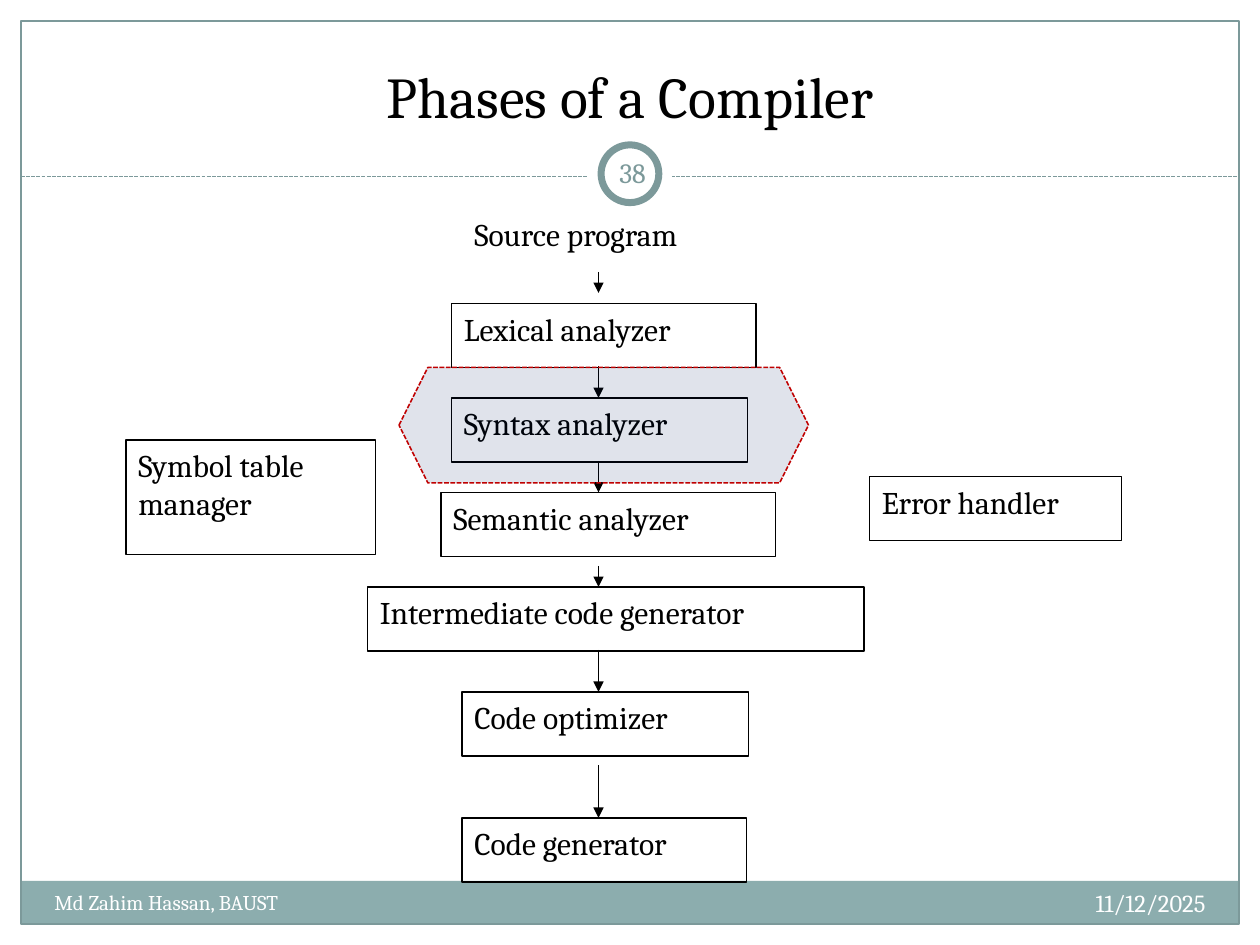
from dataclasses import dataclass

from lxml import etree
from pptx import Presentation
from pptx import util as u
from pptx.dml import color
from pptx.enum import dml, shapes, text
from pptx.oxml import ns

THEME = {
    "font": "Cambria",
    "ink": "000000", "paper": "FFFFFF", "band": "8CADAE", "frame": "7C999A",
    "focus": "002060", "focus_line": "C00000",
    "title": 33, "body": 18, "number": 16, "date": 14, "author": 12,
    "thin": 0.75, "ring": 4,
}
UNIT = u.Inches(1 / 12)  # the slide is a grid of 120 columns by 90 rows
LEFT, CENTER, RIGHT = text.PP_ALIGN.LEFT, text.PP_ALIGN.CENTER, text.PP_ALIGN.RIGHT
TOP, MIDDLE, BOTTOM = text.MSO_ANCHOR.TOP, text.MSO_ANCHOR.MIDDLE, text.MSO_ANCHOR.BOTTOM


@dataclass
class Box:
    left: float
    top: float
    width: float
    height: float

    def inner(self, left, top, width, height):
        """Give a box whose corner is counted from this one."""
        return Box(self.left + left, self.top + top, width, height)

    def emu(self):
        return [round(n * UNIT) for n in (self.left, self.top, self.width, self.height)]


def rgb(name):
    return color.RGBColor.from_string(THEME[name])


def apply(target, formats):
    for name, value in formats.items():
        setattr(target, name, value)


def write(shape, lines, size="body", ink="ink", align=LEFT, anchor=TOP):
    frame = shape.text_frame
    apply(frame, {"word_wrap": True, "auto_size": text.MSO_AUTO_SIZE.NONE,
                  "vertical_anchor": anchor})
    frame.text = lines
    for para in frame.paragraphs:
        para.alignment = align
        apply(para.font, {"name": THEME["font"], "size": u.Pt(THEME[size])})
        para.font.color.rgb = rgb(ink)


def label(page, box, lines, **formats):
    shape = page.shapes.add_textbox(*box.emu())
    write(shape, lines, **formats)
    return shape


def stroke(line, ink, width=THEME["thin"], dash=None):
    line.color.rgb = rgb(ink)
    apply(line, {"width": u.Pt(width), "dash_style": dash})


def draw(page, box, kind="RECTANGLE", fill=None, line=None, **formats):
    shape = page.shapes.add_shape(getattr(shapes.MSO_SHAPE, kind), *box.emu())
    shape.shadow.inherit = False
    if fill:
        shape.fill.solid()
        shape.fill.fore_color.rgb = rgb(fill)
    else:
        shape.fill.background()
    if line:
        stroke(shape.line, line, **formats)
    else:
        shape.line.fill.background()
    return shape


def connect(page, box, ink, dash=None, head=False):
    left, top, width, height = box.emu()
    link = page.shapes.add_connector(shapes.MSO_CONNECTOR.STRAIGHT,
                                     left, top, left + width, top + height)
    stroke(link.line, ink, dash=dash)
    properties = link._element.spPr
    if head:
        etree.SubElement(properties.find(ns.qn("a:ln")), ns.qn("a:tailEnd"), type="triangle")
    etree.SubElement(properties, ns.qn("a:effectLst"))


def add_frame(page, box):
    draw(page, box.inner(0, box.height - 4.1, box.width, 4.1), fill="band")
    draw(page, box, line="frame")


def add_header(page, box):
    title = page.shapes.title
    title_box = box.inner(2, 1, box.width - 4, 10)
    apply(title, dict(zip(("left", "top", "width", "height"), title_box.emu())))
    write(title, "Phases of a Compiler", size="title", align=CENTER, anchor=BOTTOM)
    connect(page, box.inner(0, 14.8, box.width, 0), "frame", dash=dml.MSO_LINE.SQUARE_DOT)
    middle = box.width / 2
    draw(page, box.inner(middle - 4, 10.6, 8, 8), "OVAL", fill="paper")
    draw(page, box.inner(middle - 2.75, 11.8, 5.5, 5.5), "OVAL", fill="paper",
         line="frame", width=THEME["ring"])
    number = label(page, box.inner(middle - 2.75, 11.5, 6, 5.8), "38", size="number",
                   ink="frame", align=CENTER, anchor=MIDDLE)
    apply(number.text_frame, {f"margin_{side}": u.Inches(0.05)
                              for side in ("left", "right", "top", "bottom")})


def add_phases(page, box):
    box_height, axis = 6.1, 22
    phases = [  # name, left, top, width, length of the arrow above
        ("Lexical analyzer", 8, 9, 29, 2),
        ("Syntax analyzer", 8, 18, 28.2, 3),
        ("Semantic analyzer", 7, 27, 31.9, 3),
        ("Intermediate code generator", 0, 36, 47.3, 2),
        ("Code optimizer", 9, 46, 27.3, 4),
        ("Code generator", 9, 58, 27.1, 5),
    ]
    label(page, box.inner(9, 0, 28, 6), "Source program")
    for name, left, top, width, _ in phases:
        write(draw(page, box.inner(left, top, width, box_height), line="ink"), name)
    for index, (_, _, top, _, length) in enumerate(phases):
        tip = top if index else top - 1
        connect(page, box.inner(axis, tip - length, 0, length), "ink", head=True)


def add_helpers(page, box):
    helpers = [("Symbol table\nmanager", 0, 0, 23.8, 10.9),
               ("Error handler", 70.8, 3.5, 24, 6.1)]
    for name, *place in helpers:
        write(draw(page, box.inner(*place), line="ink"), name)


def add_focus(page, box):
    """Mark the current phase with a see-through hexagon."""
    shape = draw(page, box, "HEXAGON", fill="focus", line="focus_line", width=0.9,
                 dash=dml.MSO_LINE.SQUARE_DOT)
    tint = shape._element.spPr.find(ns.qn("a:solidFill"))[0]
    etree.SubElement(tint, ns.qn("a:alpha"), val="12000")


def add_footer(page, box):
    label(page, box.inner(box.width - 40, 0, 40, box.height), "11/12/2025",
          size="date", ink="paper", align=RIGHT)
    label(page, box.inner(0, 0.1, 47, box.height), "Md Zahim Hassan, BAUST",
          size="author", ink="paper")


def main():
    deck = Presentation()
    apply(deck, {"slide_width": 120 * UNIT, "slide_height": 90 * UNIT})
    page = deck.slides.add_slide(deck.slide_layouts[5])
    add_frame(page, Box(2, 2, 116, 86))
    add_header(page, Box(2, 2, 116, 19))
    add_phases(page, Box(35, 19.9, 48, 64.1))
    add_helpers(page, Box(12, 41.9, 95, 11))
    add_focus(page, Box(38, 35, 39, 11))
    add_footer(page, Box(4, 84, 112, 4.8))
    deck.save("out.pptx")


if __name__ == "__main__":
    main()
